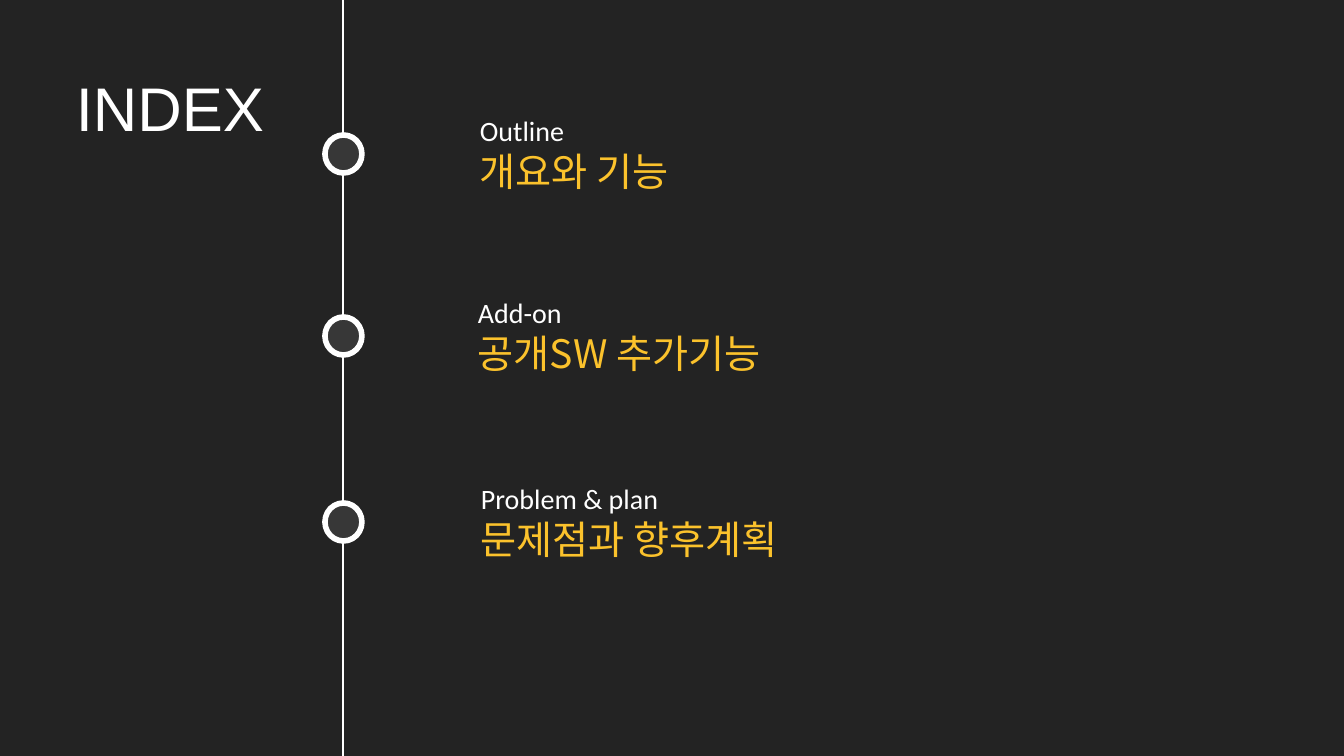
from lxml import etree
from pptx import Presentation, util as u
from pptx.dml.color import RGBColor
from pptx.enum import shapes, text
from pptx.oxml.ns import qn

PX = 914400 / 100.8
WHITE, YELLOW, DARK, GREY = "FFFFFF", "FBC22C", "232323", "373737"

SLIDE = (1344, 756)
TITLE = ("INDEX", (66, 38, 235, 148))
TIMELINE_X = 343
DOT_LEFT, DOT_SIZE = 325, (37, 38)
ENTRY_HEIGHT, ENTRY_RISE = 92, 26
ENTRIES = [
    ("Outline", "개요와 기능", 135, 470, 269),
    ("Add-on", "공개SW 추가기능", 317, 468, 478),
    ("Problem & plan", "문제점과 향후계획", 503, 471, 445),
]
TITLE_FONT = {"size": u.Pt(44), "name": "Arial"}
ENGLISH_FONT = {"size": u.Pt(20), "name": "Calibri"}
KOREAN_FONT = {"size": u.Pt(28), "name": "Noto Sans CJK KR"}


def emu(*lengths):
    return [round(length * PX) for length in lengths]


def paint(color_format, color):
    color_format.rgb = RGBColor.from_string(color)


def outline(line, width):
    paint(line.color, WHITE)
    line.width = u.Pt(width)


def add_text(slide, box, lines, frame_format):
    frame = slide.shapes.add_textbox(*emu(*box)).text_frame
    for key, value in frame_format.items():
        setattr(frame, key, value)
    for index, (words, font, color) in enumerate(lines):
        paragraph = frame.add_paragraph() if index else frame.paragraphs[0]
        run = paragraph.add_run()
        run.text = words
        for key, value in font.items():
            setattr(run.font, key, value)
        paint(run.font.color, color)
        east_asian = etree.SubElement(run.font._element, qn("a:ea"))
        east_asian.set("typeface", font["name"])
    return frame


def main():
    deck = Presentation()
    deck.slide_width, deck.slide_height = emu(*SLIDE)
    slide = deck.slides.add_slide(deck.slide_layouts[6])
    slide.background.fill.solid()
    paint(slide.background.fill.fore_color, DARK)

    words, box = TITLE
    title = add_text(slide, box, [(words, TITLE_FONT, WHITE)],
                     {"word_wrap": True, "vertical_anchor": text.MSO_ANCHOR.MIDDLE})
    title.paragraphs[0].line_spacing = 0.9

    timeline = slide.shapes.add_connector(
        shapes.MSO_CONNECTOR.STRAIGHT, *emu(TIMELINE_X, 0, TIMELINE_X, SLIDE[1]))
    outline(timeline.line, 1)
    etree.SubElement(timeline._element.spPr, qn("a:effectLst"))

    for english, korean, dot_top, left, width in ENTRIES:
        dot = slide.shapes.add_shape(
            shapes.MSO_SHAPE.FLOWCHART_CONNECTOR, *emu(DOT_LEFT, dot_top, *DOT_SIZE))
        dot.shadow.inherit = False
        dot.fill.solid()
        paint(dot.fill.fore_color, GREY)
        outline(dot.line, 4)
        add_text(slide, (left, dot_top - ENTRY_RISE, width, ENTRY_HEIGHT),
                 [(english, ENGLISH_FONT, WHITE), (korean, KOREAN_FONT, YELLOW)],
                 {"word_wrap": True, "auto_size": text.MSO_AUTO_SIZE.SHAPE_TO_FIT_TEXT})

    deck.save("out.pptx")


if __name__ == "__main__":
    main()
